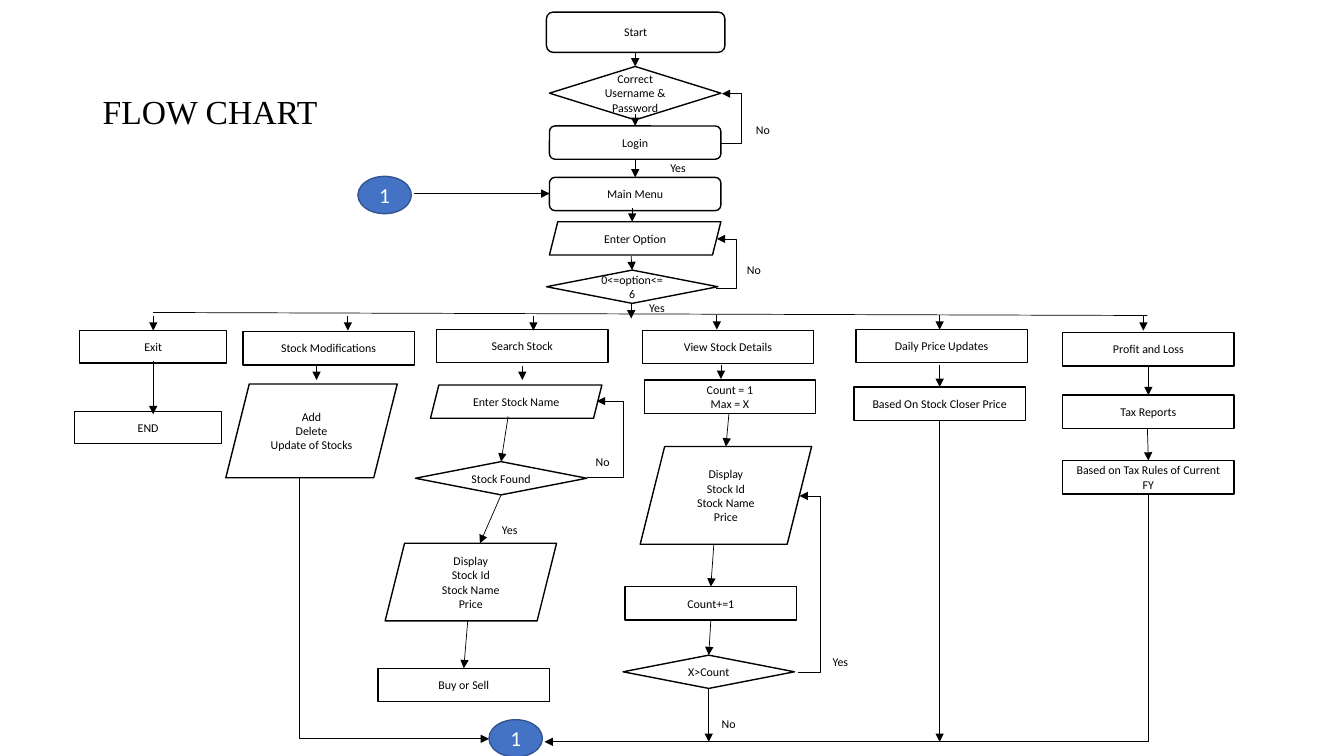
import dataclasses

import lxml.etree
import pptx
import pptx.dml.color
import pptx.enum.shapes
import pptx.enum.text
import pptx.oxml.ns
import pptx.util

Inches = pptx.util.Inches
Pt = pptx.util.Pt
Shape = pptx.enum.shapes.MSO_SHAPE
Connector = pptx.enum.shapes.MSO_CONNECTOR
Align = pptx.enum.text.PP_ALIGN
Anchor = pptx.enum.text.MSO_ANCHOR
qualified = pptx.oxml.ns.qn


@dataclasses.dataclass(frozen=True)
class Theme:
    ink: str = "000000"
    paper: str = "FFFFFF"
    marker: str = "4472C4"
    marker_edge: str = "325491"
    body_font: str = "Calibri"
    title_font: str = "Times New Roman"
    body_size: float = 8.5
    marker_size: float = 15.2
    title_size: float = 24
    outline: float = 1
    arrow: float = 0.5


def color(value):
    return pptx.dml.color.RGBColor.from_string(value)


def write_text(shape, text, *, font, size, ink, align=Align.LEFT,
               anchor=Anchor.TOP, spacing=None):
    frame = shape.text_frame
    frame.word_wrap = True
    frame.vertical_anchor = anchor
    for index, line in enumerate(text.split("\n")):
        paragraph = frame.add_paragraph() if index else frame.paragraphs[0]
        paragraph.alignment = align
        if spacing:
            paragraph.line_spacing = spacing
        run = paragraph.add_run()
        run.text = line
        run.font.name = font
        run.font.size = Pt(size)
        run.font.color.rgb = color(ink)


class FlowChart:
    def __init__(self, slide, theme):
        self.slide = slide
        self.theme = theme

    def node(self, kind, text, left, top, width=1.7, height=0.33, *,
             fill=None, edge=None, ink=None, size=None):
        theme = self.theme
        shape = self.slide.shapes.add_shape(
            kind, Inches(left), Inches(top), Inches(width), Inches(height))
        shape.shadow.inherit = False
        shape.fill.solid()
        shape.fill.fore_color.rgb = color(fill or theme.paper)
        shape.line.color.rgb = color(edge or theme.ink)
        shape.line.width = Pt(theme.outline)
        write_text(shape, text, font=theme.body_font, size=size or theme.body_size,
                   ink=ink or theme.ink, align=Align.CENTER, anchor=Anchor.MIDDLE)

    def marker(self, text, left, top):
        theme = self.theme
        self.node(Shape.OVAL, text, left, top, 0.53, 0.37, fill=theme.marker,
                  edge=theme.marker_edge, ink=theme.paper, size=theme.marker_size)

    def label(self, text, left, top):
        box = self.slide.shapes.add_textbox(
            Inches(left), Inches(top), Inches(0.56), Inches(0.24))
        write_text(box, text, font=self.theme.body_font,
                   size=self.theme.body_size, ink=self.theme.ink)

    def title(self, text, left, top, width, height):
        box = self.slide.shapes.add_textbox(
            Inches(left), Inches(top), Inches(width), Inches(height))
        write_text(box, text, font=self.theme.title_font, size=self.theme.title_size,
                   ink=self.theme.ink, anchor=Anchor.MIDDLE, spacing=0.9)

    def line(self, x1, y1, x2, y2, *, kind=Connector.STRAIGHT, arrow="tailEnd"):
        connector = self.slide.shapes.add_connector(
            kind, Inches(x1), Inches(y1), Inches(x2), Inches(y2))
        connector.line.color.rgb = color(self.theme.ink)
        connector.line.width = Pt(self.theme.arrow)
        properties = connector._element.spPr
        if arrow:
            outline = properties.find(qualified("a:ln"))
            lxml.etree.SubElement(outline, qualified("a:" + arrow), type="triangle")
        lxml.etree.SubElement(properties, qualified("a:effectLst"))
        return properties.find(qualified("a:prstGeom"))

    def loop(self, x1, y1, x2, y2, side):
        geometry = self.line(x1, y1, x2, y2, kind=Connector.ELBOW)
        ratio = round((side - x1) / (x2 - x1) * 100000)
        adjustments = geometry.find(qualified("a:avLst"))
        if adjustments is None:
            adjustments = lxml.etree.SubElement(geometry, qualified("a:avLst"))
        lxml.etree.SubElement(adjustments, qualified("a:gd"),
                              name="adj1", fmla=f"val {ratio}")

    def corner(self, x1, y1, x2, y2):
        geometry = self.line(x2, y2, x1, y1, kind=Connector.ELBOW, arrow="headEnd")
        geometry.set("prst", "bentConnector2")


NODES = {
    Shape.ROUNDED_RECTANGLE: [
        ("Start", 5.42, 0.12, 1.77, 0.4), ("Login", 5.45, 1.25),
        ("Main Menu", 5.45, 1.76)],
    Shape.DIAMOND: [("Correct Username & Password", 5.45, 0.66, 1.7, 0.53)],
    Shape.FLOWCHART_DECISION: [
        ("0<=option<=6", 5.42, 2.68), ("Stock Found", 4.12, 4.58),
        ("X>Count", 6.18, 6.5)],
    Shape.RECTANGLE: [
        ("Exit", 0.79, 3.28, 1.46, 0.32), ("END", 0.74, 4.08, 1.46, 0.32),
        ("Stock Modifications", 2.41, 3.29), ("Search Stock", 4.33, 3.27),
        ("View Stock Details", 6.37, 3.28), ("Daily Price Updates", 8.49, 3.27),
        ("Profit and Loss", 10.54, 3.3), ("Tax Reports", 10.54, 3.92),
        ("Based on Tax Rules of Current FY", 10.54, 4.57),
        ("Based On Stock Closer Price", 8.47, 3.84),
        ("Count = 1\nMax = X", 6.39, 3.77), ("Count+=1", 6.2, 5.82),
        ("Buy or Sell", 3.75, 6.63)],
    Shape.PARALLELOGRAM: [
        ("Enter Option", 5.45, 2.2), ("Enter Stock Name", 4.27, 3.82),
        ("Add\nDelete\nUpdate of Stocks", 2.24, 3.81, 1.7, 0.93),
        ("Display\nStock Id\nStock Name\nPrice", 3.82, 5.39, 1.7, 0.77),
        ("Display\nStock Id\nStock Name\nPrice", 6.35, 4.43, 1.7, 0.97)],
}
SHORT_DROPS = [
    (6.3, 0.52), (6.27, 2.06), (6.26, 3.02), (1.52, 3.14), (3.45, 3.14),
    (5.29, 3.14), (7.11, 3.13), (9.32, 3.13), (11.34, 3.14), (3.14, 3.63),
    (5.18, 3.63), (7.15, 3.62)]
ARROWS = [
    (6.3, 1.13, 6.3, 1.25), (6.3, 1.59, 6.3, 1.76), (6.26, 2.54, 6.27, 2.68),
    (1.52, 3.58, 1.52, 4.11), (5.04, 4.13, 4.97, 4.58), (4.97, 4.91, 4.76, 5.39),
    (4.64, 6.15, 4.6, 6.63), (7.23, 4.1, 7.2, 4.43), (7.08, 5.4, 7.05, 5.82),
    (7.05, 6.15, 7.03, 6.5), (7.03, 6.84, 7.03, 7.36), (9.32, 3.62, 9.32, 3.84),
    (9.32, 4.18, 9.32, 7.36), (11.39, 3.63, 11.39, 3.92),
    (11.38, 4.25, 11.39, 4.57), (4.11, 1.92, 5.45, 1.92)]
LOOPS = [
    (7.15, 1.42, 7.16, 0.93, 7.36), (7.1, 2.86, 7.11, 2.37, 7.31),
    (5.82, 4.74, 5.92, 3.98, 6.18), (7.91, 6.67, 7.93, 4.92, 8.14)]
CORNERS = [(2.97, 4.74, 4.85, 7.33), (11.39, 4.91, 5.4, 7.36)]
LABELS = {
    "Yes": [(6.55, 1.54), (6.34, 2.93), (4.88, 5.14), (8.16, 6.45)],
    "No": [(7.4, 1.17), (7.31, 2.56), (5.81, 4.46), (7.06, 7.06)],
}


def main():
    presentation = pptx.Presentation()
    presentation.slide_width = Inches(13.33)
    presentation.slide_height = Inches(7.5)
    slide = presentation.slides.add_slide(presentation.slide_layouts[6])
    chart = FlowChart(slide, Theme())
    for kind, nodes in NODES.items():
        for node in nodes:
            chart.node(kind, *node)
    chart.line(1.52, 3.1, 11.38, 3.13, arrow=None)
    for x, y in SHORT_DROPS:
        chart.line(x, y, x, y + 0.14)
    for arrow in ARROWS:
        chart.line(*arrow)
    for loop in LOOPS:
        chart.loop(*loop)
    for corner in CORNERS:
        chart.corner(*corner)
    for text, places in LABELS.items():
        for place in places:
            chart.label(text, *place)
    for place in [(3.55, 1.75), (4.85, 7.14)]:
        chart.marker("1", *place)
    chart.title("FLOW CHART", 0.92, 0.4, 4.24, 1.45)
    presentation.save("out.pptx")


if __name__ == "__main__":
    main()
